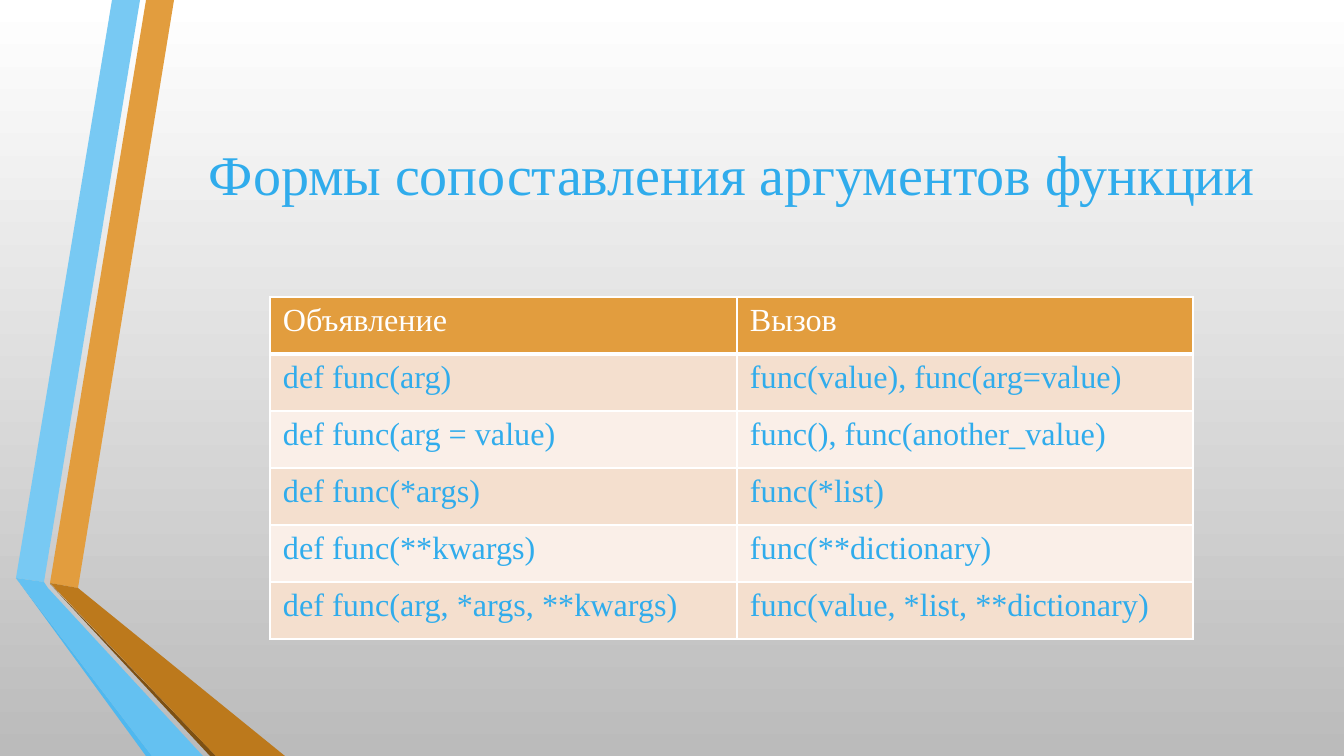
from dataclasses import dataclass

from lxml.etree import SubElement
from pptx import Presentation
from pptx.dml.color import RGBColor
from pptx.enum.text import MSO_ANCHOR, PP_ALIGN
from pptx.oxml.ns import qn
from pptx.util import Pt

# Content
TITLE = "Формы сопоставления аргументов функции"
ROWS = [
    ("Объявление", "Вызов"),
    ("def func(arg)", "func(value), func(arg=value)"),
    ("def func(arg = value)", "func(), func(another_value)"),
    ("def func(*args)", "func(*list)"),
    ("def func(**kwargs)", "func(**dictionary)"),
    ("def func(arg, *args, **kwargs)", "func(value, *list, **dictionary)"),
]


@dataclass(frozen=True)
class Theme:
    font: str = "Times New Roman"
    title_size: int = 40
    cell_size: int = 23
    text: str = "30ACEC"
    white: str = "FFFFFF"
    background_end: str = "BBBBBB"
    orange: str = "E29D3E"
    orange_dark: str = "BC791C"
    orange_shadow: str = "7D5013"
    blue: str = "78C9F3"
    blue_dark: str = "64C1F1"
    blue_shadow: str = "4FB8EF"
    bands: tuple = ("F4DFCE", "FAEFE8")


THEME = Theme()

# Layout in px
PAGE_WIDTH, PAGE_HEIGHT = 1344, 756
EMU_PER_PX = 914400 / 100.8
TITLE_BOX = (195, 76, 1074, 194)
TABLE_LEFT, TABLE_TOP = 270, 297
COLUMN_WIDTHS = (467, 456)
ROW_HEIGHT = 57
CELL_MARGIN_X, CELL_MARGIN_Y = 13, 6

# Folded ribbons, back to front
RIBBONS = [
    (THEME.orange, [(50, 583), (78, 588), (174, 0), (146, 0)]),
    (THEME.blue, [(140, 0), (112, 0), (16, 578), (44, 582)]),
    (THEME.blue_shadow, [(16, 578), (146, PAGE_HEIGHT), (152, PAGE_HEIGHT)]),
    (THEME.orange_shadow, [(50, 584), (210, PAGE_HEIGHT), (216, PAGE_HEIGHT)]),
    (THEME.orange_dark,
     [(50, 583), (216, PAGE_HEIGHT), (285, PAGE_HEIGHT), (78, 588)]),
    (THEME.blue_dark,
     [(203, PAGE_HEIGHT), (48, 588), (44, 582), (16, 578), (152, PAGE_HEIGHT)]),
]


def px(length):
    return round(length * EMU_PER_PX)


def rgb(color):
    return RGBColor.from_string(color)


def style_text(para, size, color):
    font = para.font
    font.name, font.size, font.bold = THEME.font, Pt(size), False
    font.color.rgb = rgb(color)


def paint_background(page):
    fill = page.background.fill
    fill.gradient()
    fill.gradient_angle = 270
    for position, color in enumerate((THEME.white, THEME.background_end)):
        stop = fill.gradient_stops[position]
        stop.position = position
        stop.color.rgb = rgb(color)


def add_ribbon(page, color, points):
    builder = page.shapes.build_freeform(*points[0], scale=EMU_PER_PX)
    builder.add_line_segments(points[1:], close=True)
    ribbon = builder.convert_to_shape()
    ribbon.shadow.inherit = False
    ribbon.fill.solid()
    ribbon.fill.fore_color.rgb = rgb(color)
    ribbon.line.fill.background()


def add_title(page):
    box = page.shapes.add_textbox(*map(px, TITLE_BOX))
    frame = box.text_frame
    frame.word_wrap = True
    frame.vertical_anchor = MSO_ANCHOR.MIDDLE
    para = frame.paragraphs[0]
    para.text = TITLE
    para.alignment = PP_ALIGN.CENTER
    style_text(para, THEME.title_size, THEME.text)


def set_borders(cell, widths):
    properties = cell._tc.get_or_add_tcPr()
    for position, (side, width) in enumerate(widths.items()):
        line = SubElement(properties, qn(f"a:{side}"), w=str(Pt(width)))
        fill = SubElement(line, qn("a:solidFill"))
        SubElement(fill, qn("a:srgbClr"), val=THEME.white)
        properties.insert(position, line)


def fill_cell(cell, text, row):
    header = row == 0
    cell.margin_left = cell.margin_right = px(CELL_MARGIN_X)
    cell.margin_top = cell.margin_bottom = px(CELL_MARGIN_Y)
    cell.fill.solid()
    cell.fill.fore_color.rgb = rgb(
        THEME.orange if header else THEME.bands[(row - 1) % 2])
    para = cell.text_frame.paragraphs[0]
    para.text = text
    style_text(para, THEME.cell_size, THEME.white if header else THEME.text)
    set_borders(cell, {"lnL": 1, "lnR": 1, "lnT": 3 if row == 1 else 1,
                       "lnB": 3 if header else 1})


def add_forms_table(page):
    table = page.shapes.add_table(
        len(ROWS), len(COLUMN_WIDTHS), px(TABLE_LEFT), px(TABLE_TOP),
        px(sum(COLUMN_WIDTHS)), px(ROW_HEIGHT * len(ROWS))).table
    table.horz_banding = False
    for column, width in zip(table.columns, COLUMN_WIDTHS):
        column.width = px(width)
    for row, texts in enumerate(ROWS):
        table.rows[row].height = px(ROW_HEIGHT)
        for column, text in enumerate(texts):
            fill_cell(table.cell(row, column), text, row)


def main():
    deck = Presentation()
    deck.slide_width, deck.slide_height = px(PAGE_WIDTH), px(PAGE_HEIGHT)
    page = deck.slides.add_slide(deck.slide_layouts[6])
    paint_background(page)
    for color, points in RIBBONS:
        add_ribbon(page, color, points)
    add_title(page)
    add_forms_table(page)
    deck.save("out.pptx")


if __name__ == "__main__":
    main()
